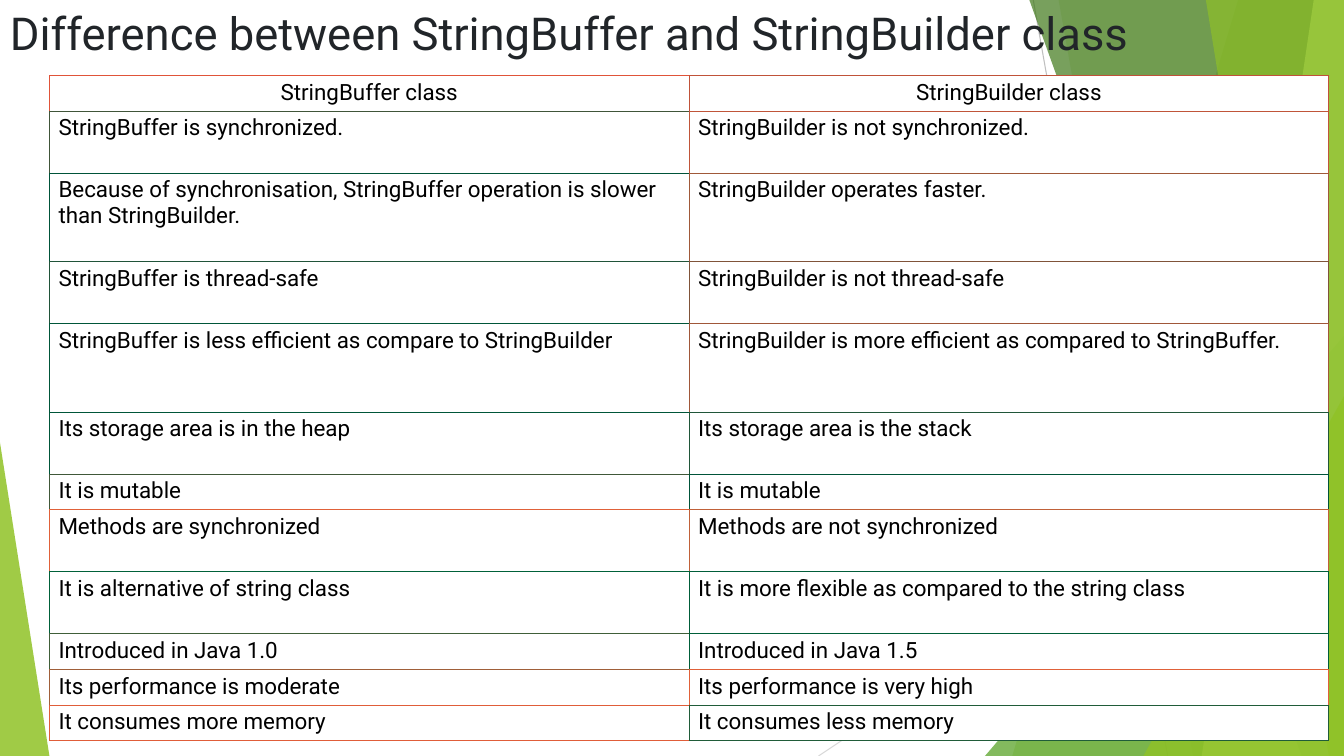
from lxml import etree
from pptx import Presentation
from pptx.dml.color import RGBColor
from pptx.enum.shapes import MSO_CONNECTOR as CONN, MSO_SHAPE as SHAPE
from pptx.enum.text import MSO_ANCHOR as ANCHOR, PP_ALIGN as ALIGN
from pptx.oxml.ns import qn
from pptx.util import Inches, Pt

FONT = "Roboto"
WHITE = RGBColor(0xFF, 0xFF, 0xFF)
BLACK = RGBColor(0x00, 0x00, 0x00)
INK = RGBColor(0x21, 0x25, 0x29)
GREY = RGBColor(0xBF, 0xBF, 0xBF)
PALE_GREY = RGBColor(0xD9, 0xD9, 0xD9)
GREEN = RGBColor(0x90, 0xC2, 0x26)
LEAF = RGBColor(0x54, 0xA0, 0x21)
FOREST = RGBColor(0x3F, 0x78, 0x19)
LIME = RGBColor(0xC0, 0xE4, 0x74)

TITLE = "Difference between StringBuffer and StringBuilder class"
ROW_PAD = 0.345
ROWS = [
    (1, "StringBuffer class", "E05339", "StringBuilder class", "C05239"),
    (2, "StringBuffer is synchronized.", "405539",
     "StringBuilder is not synchronized.", "C05539"),
    (3, "Because of synchronisation, StringBuffer operation is slower than StringBuilder.",
     "005339", "StringBuilder operates faster.", "A05939"),
    (2, "StringBuffer is thread-safe", "205339",
     "StringBuilder is not thread-safe", "805339"),
    (3, "StringBuffer is less efficient as compare to StringBuilder", "005639",
     "StringBuilder is more efficient as compared to StringBuffer.", "A05739"),
    (2, "Its storage area is in the heap", "005639",
     "Its storage area is the stack", "205639"),
    (1, "It is mutable", "405839", "It is mutable", "005339"),
    (2, "Methods are synchronized", "E06139", "Methods are not synchronized", "C06139"),
    (2, "It is alternative of string class", "006139",
     "It is more flexible as compared to the string class", "005D39"),
    (1, "Introduced in Java 1.0", "405F39", "Introduced in Java 1.5", "005E39"),
    (1, "Its performance is moderate", "A05F39", "Its performance is very high", "E06139"),
    (1, "It consumes more memory", "E05D39", "It consumes less memory", "205C39"),
]


def share(box, x, y, w, h):
    left, top, width, height = box
    return (round(left + width * x / 100), round(top + height * y / 100),
            round(width * w / 100), round(height * h / 100))


def paint(sp, color, opacity):
    sp.shadow.inherit = False
    sp.fill.solid()
    sp.fill.fore_color.rgb = color
    sp.line.fill.background()
    clr = sp.fill._xPr.find(qn("a:solidFill"))[0]
    etree.SubElement(clr, qn("a:alpha"), val=str(opacity * 1000))


def add_ray(slide, box, x1, y1, x2, y2, color):
    start = share(box, x1, y1, 0, 0)[:2]
    end = share(box, x2, y2, 0, 0)[:2]
    ray = slide.shapes.add_connector(CONN.STRAIGHT, *start, *end)
    ray.line.color.rgb = color
    ray.line.width = Pt(0.75)
    etree.SubElement(ray._element.spPr, qn("a:effectLst"))


def add_band(slide, box, top_x, bottom_x, color, opacity):
    corners = [(top_x, 0), (100, 0), (100, 100), (bottom_x, 100)]
    points = [share(box, x, y, 0, 0)[:2] for x, y in corners]
    builder = slide.shapes.build_freeform(*points[0])
    builder.add_line_segments(points[1:], close=True)
    paint(builder.convert_to_shape(), color, opacity)


def add_wedge(slide, box, x, y, w, apex, color, opacity):
    sp = slide.shapes.add_shape(SHAPE.ISOSCELES_TRIANGLE, *share(box, x, y, w, 100 - y))
    sp.adjustments[0] = apex
    paint(sp, color, opacity)


def add_facets(slide, box):
    add_ray(slide, box, 76.88, 0, 86.88, 100, GREY)
    add_ray(slide, box, 100, 53.73, 60.9, 100, PALE_GREY)
    add_band(slide, box, 92.12, 75.32, GREEN, 30)
    add_band(slide, box, 78.77, 88.75, GREEN, 20)
    add_wedge(slide, box, 73.29, 44.4, 26.71, 1, LEAF, 72)
    add_band(slide, box, 76.59, 96.85, FOREST, 70)
    add_band(slide, box, 97.75, 89.42, LIME, 70)
    add_band(slide, box, 89.72, 98.87, GREEN, 65)
    add_wedge(slide, box, 85.07, 52.4, 14.93, 1, GREEN, 80)
    add_wedge(slide, box, 0, 58.53, 3.68, 0, GREEN, 85)


def format_text(p, size, color):
    for r in p.runs:
        r.font.name = FONT
        r.font.size = Pt(size)
        r.font.color.rgb = color


def add_title(slide, box):
    tf = slide.shapes.add_textbox(*box).text_frame
    tf.word_wrap = True
    tf.vertical_anchor = ANCHOR.TOP
    tf.text = TITLE
    format_text(tf.paragraphs[0], 32.4, INK)


def set_borders(cell, left, right, top, bottom):
    tcPr = cell._tc.get_or_add_tcPr()
    for side, color in zip("LRTB", (left, right, top, bottom)):
        ln = etree.SubElement(tcPr, qn(f"a:ln{side}"), w=str(Pt(0.6)))
        fill = etree.SubElement(ln, qn("a:solidFill"))
        etree.SubElement(fill, qn("a:srgbClr"), val=color)


def add_comparison(slide, box):
    table = slide.shapes.add_table(len(ROWS), 2, *box).table
    table.first_row = False
    table.horz_banding = False
    total = sum(row[0] + ROW_PAD for row in ROWS)
    colors = [(row[2], row[4]) for row in ROWS]
    for i, (lines, buffer_text, _, builder_text, _) in enumerate(ROWS):
        table.rows[i].height = round(box[3] * (lines + ROW_PAD) / total)
        below = colors[min(i + 1, len(ROWS) - 1)]
        for j, text in enumerate((buffer_text, builder_text)):
            cell = table.cell(i, j)
            own = colors[i][j]
            set_borders(cell, own, colors[i][1], own, below[j])
            cell.fill.solid()
            cell.fill.fore_color.rgb = WHITE
            cell.margin_left = cell.margin_right = Inches(0.09)
            cell.margin_top = cell.margin_bottom = Inches(0.04)
            cell.text_frame.text = text
            p = cell.text_frame.paragraphs[0]
            p.alignment = ALIGN.CENTER if i == 0 else ALIGN.LEFT
            format_text(p, 16, BLACK)


def main():
    prs = Presentation()
    prs.slide_width = Inches(13.33)
    prs.slide_height = Inches(7.5)
    slide = prs.slides.add_slide(prs.slide_layouts[6])
    page = (0, 0, prs.slide_width, prs.slide_height)
    add_facets(slide, page)
    add_title(slide, share(page, 0, 0, 100, 10.5))
    add_comparison(slide, share(page, 3.68, 10, 95.18, 88))
    prs.save("out.pptx")


if __name__ == "__main__":
    main()
